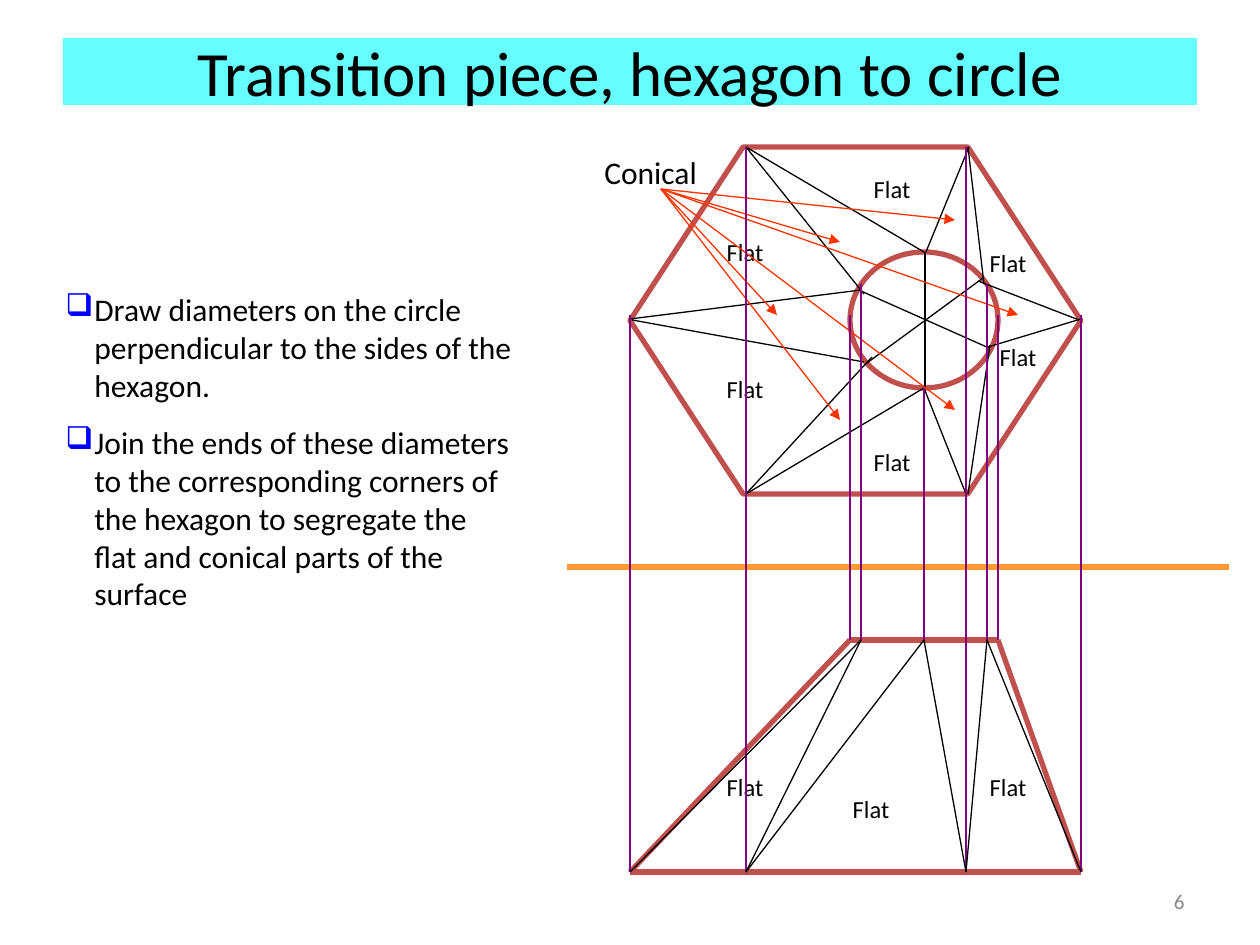
"""Build the slide on a hexagon-to-circle transition piece."""
from dataclasses import dataclass
from typing import Any

from lxml import etree
from pptx import Presentation
from pptx import util as u
from pptx.dml.color import RGBColor
from pptx.enum import shapes, text
from pptx.oxml import ns

PX = 914400 / 126
BLACK = RGBColor(0, 0, 0)
GREY = RGBColor(0x89, 0x89, 0x89)
CYAN = RGBColor(0x66, 0xFF, 0xFF)
BROWN = RGBColor(0xC0, 0x50, 0x4D)
ORANGE = RGBColor(0xFF, 0x99, 0x33)
RED = RGBColor(0xFF, 0x33, 0x00)
PURPLE = RGBColor(0x80, 0x00, 0x80)
LEFT, CORNER_L, CORNER_R, RIGHT = 630, 746, 966, 1081
RIM_L, GEN_L, MID, GEN_R, RIM_R = 850, 861, 924, 987, 998
HEX_TOP, HEX_MID, HEX_BOTTOM = 147, 319, 494
CIRCLE_TOP, CIRCLE_MID, CIRCLE_BOTTOM = 252, 315, 388
REFERENCE, TOP_EDGE, BASE = 567, 640, 872


@dataclass(frozen=True)
class Pen:
    color: RGBColor
    width: float = 0.75
    arrow: bool = False


@dataclass(frozen=True)
class Label:
    words: tuple[str, ...]
    x: int
    y: int
    w: int
    h: int
    size: int = 14
    color: RGBColor = BLACK
    align: Any = text.PP_ALIGN.CENTER
    anchor: Any = text.MSO_ANCHOR.TOP
    bullet: str = ""
    fill: RGBColor | None = None


THIN = Pen(BLACK)
EDGE = Pen(BROWN, 3)
PROJECTOR = Pen(PURPLE)
POINTER = Pen(RED, arrow=True)

PLAN_LINES = (
    (925, 252, 925, 388), (983, 278, 867, 363), (861, 291, 989, 348),
    (864, 294, 746, 147), (864, 362, 632, 320), (924, 388, 746, 494),
    (924, 388, 966, 494), (990, 345, 968, 494), (746, 147, 924, 252),
    (969, 147, 926, 252), (988, 347, 1081, 319), (746, 494, 872, 357),
    (861, 290, 630, 319), (968, 147, 984, 284), (978, 281, 1079, 320),
)
FLATS = (
    (703, 368), (703, 231), (850, 168), (850, 441), (966, 242), (976, 336),
    (703, 766), (829, 788), (966, 766),
)
CONICAL_START = (661, 189)
CONICAL_ENDS = (
    (777, 315), (840, 242), (955, 220), (1018, 315), (840, 420), (955, 410),
)
ELEVATION_EDGES = (
    (RIM_L, TOP_EDGE, RIM_R, TOP_EDGE), (LEFT, BASE, RIGHT, BASE),
    (RIM_L, TOP_EDGE, LEFT, BASE), (RIM_R, TOP_EDGE, RIGHT, BASE),
)
PROJECTORS = (
    (RIM_L, CIRCLE_MID, TOP_EDGE), (RIM_R, CIRCLE_MID, TOP_EDGE),
    (LEFT, CIRCLE_MID, BASE), (RIGHT, CIRCLE_MID, BASE),
    (CORNER_L, HEX_TOP, BASE), (CORNER_R, HEX_TOP, BASE),
    (GEN_R, 284, TOP_EDGE), (GEN_L, 284, TOP_EDGE),
    (MID, CIRCLE_BOTTOM, TOP_EDGE),
)
ELEVATION_FOLDS = (
    (GEN_L, CORNER_L), (MID, CORNER_L), (MID, CORNER_R),
    (GEN_R, CORNER_R), (GEN_R, RIGHT), (GEN_L, LEFT),
)
BODY = (
    "Draw diameters on the circle perpendicular to the sides of the hexagon.",
    "Join the ends of these diameters to the corresponding corners of the "
    "hexagon to segregate the flat and conical parts of the surface",
)


def px(n: float) -> u.Emu:
    """Turn pixels into EMU."""
    return u.Emu(round(n * PX))


def set_all(target: Any, values: dict[str, Any]) -> None:
    """Set each named attribute on the target."""
    for name, value in values.items():
        setattr(target, name, value)


def add_bullet(p: Any, char: str) -> None:
    """Give a paragraph a blue hanging bullet."""
    pPr = p._p.get_or_add_pPr()
    pPr.set("marL", str(px(29)))
    pPr.set("indent", str(-px(29)))
    clr = etree.SubElement(pPr, ns.qn("a:buClr"))
    etree.SubElement(clr, ns.qn("a:srgbClr"), val="0000FF")
    etree.SubElement(pPr, ns.qn("a:buChar"), char=char)


def add_line(s: Any, ends: tuple[int, int, int, int], pen: Pen) -> None:
    """Draw a straight line, with an arrowhead if the pen has one."""
    sp = s.shapes.add_connector(shapes.MSO_CONNECTOR.STRAIGHT, *map(px, ends))
    sp.line.color.rgb = pen.color
    sp.line.width = u.Pt(pen.width)
    if pen.arrow:
        etree.SubElement(sp.line._get_or_add_ln(), ns.qn("a:tailEnd"), type="triangle")
    etree.SubElement(sp._element.spPr, ns.qn("a:effectLst"))


def add_outline(s: Any, kind: Any, x: int, y: int, w: int, h: int) -> Any:
    """Draw an unfilled preset shape with the edge pen."""
    sp = s.shapes.add_shape(kind, *map(px, (x, y, w, h)))
    sp.shadow.inherit = False
    sp.fill.background()
    sp.line.color.rgb = EDGE.color
    sp.line.width = u.Pt(EDGE.width)
    return sp


def add_label(s: Any, label: Label) -> None:
    """Write a label, on a filled band if it has a fill."""
    sp = s.shapes.add_textbox(*map(px, (label.x, label.y, label.w, label.h)))
    tf = sp.text_frame
    set_all(tf, {"word_wrap": True, "vertical_anchor": label.anchor})
    if label.fill is not None:
        sp.fill.solid()
        sp.fill.fore_color.rgb = label.fill
        set_all(tf, dict.fromkeys(
            ("margin_left", "margin_top", "margin_right", "margin_bottom"), 0))
    for i, words in enumerate(label.words):
        p = tf.add_paragraph() if i else tf.paragraphs[0]
        p.alignment = label.align
        if i:
            p.space_before = u.Pt(11.2)
        if label.bullet:
            add_bullet(p, label.bullet)
        r = p.add_run()
        r.text = words
        set_all(r.font, {"name": "Calibri", "size": u.Pt(label.size)})
        r.font.color.rgb = label.color


def main() -> None:
    """Draw the plan, the elevation and the text."""
    prs = Presentation()
    set_all(prs, {"slide_width": px(1260), "slide_height": px(945)})
    s = prs.slides.add_slide(prs.slide_layouts[6])
    middle = text.MSO_ANCHOR.MIDDLE

    add_label(s, Label(("6",), 903, 876, 294, 50, 12, GREY,
                       text.PP_ALIGN.RIGHT, middle))
    add_label(s, Label(("Transition piece, hexagon to circle",), 63, 38, 1134, 67,
                       36, anchor=middle, fill=CYAN))

    hexagon = add_outline(s, shapes.MSO_SHAPE.HEXAGON, LEFT, HEX_TOP,
                          RIGHT - LEFT, HEX_BOTTOM - HEX_TOP)
    hexagon.adjustments[0] = 0.326
    add_outline(s, shapes.MSO_SHAPE.OVAL, RIM_L, CIRCLE_TOP,
                RIM_R - RIM_L, CIRCLE_BOTTOM - CIRCLE_TOP)
    for ends in PLAN_LINES:
        add_line(s, ends, THIN)
    for x, y in FLATS:
        add_label(s, Label(("Flat",), x, y, 84, 43))
    add_label(s, Label(("Conical",), 577, 147, 147, 50, 18))
    for end in CONICAL_ENDS:
        add_line(s, CONICAL_START + end, POINTER)

    add_line(s, (567, REFERENCE, 1229, REFERENCE), Pen(ORANGE, 3))
    for ends in ELEVATION_EDGES:
        add_line(s, ends, EDGE)
    for x, top, bottom in PROJECTORS:
        add_line(s, (x, top, x, bottom), PROJECTOR)
    for top_x, base_x in ELEVATION_FOLDS:
        add_line(s, (top_x, TOP_EDGE, base_x, BASE), THIN)

    add_label(s, Label(BODY, 53, 284, 472, 297, 18,
                       align=text.PP_ALIGN.LEFT, bullet="❑"))
    prs.save("out.pptx")


if __name__ == "__main__":
    main()
